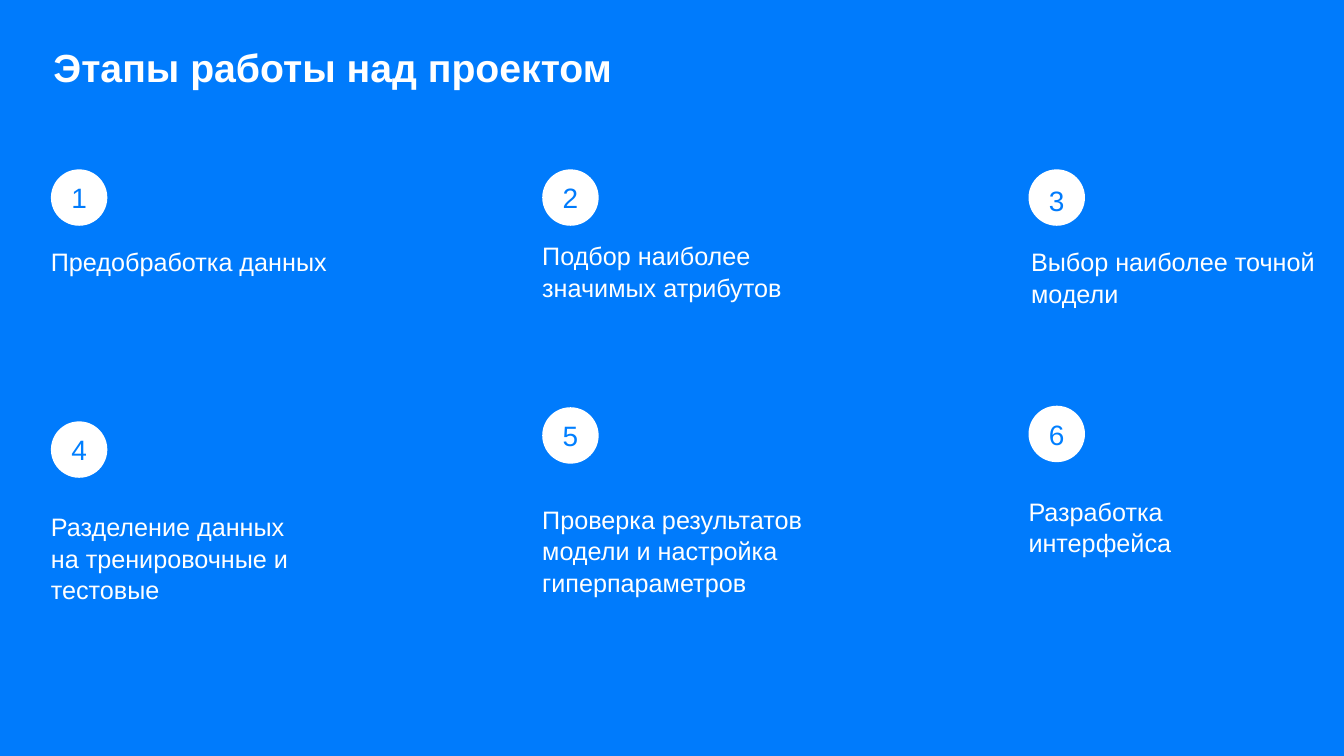
from pptx import Presentation
from pptx.dml.color import RGBColor
from pptx.enum.shapes import MSO_SHAPE as Shape
from pptx.enum.text import MSO_ANCHOR as Anchor, MSO_AUTO_SIZE as AutoSize, PP_ALIGN as Align
from pptx.util import Inches, Pt

BLUE, WHITE, NUMBER_BLUE = "007BFC", "FFFFFF", "007FFF"
COLS = (1.01, 10.76, 20.41)
BADGE = 1.12
LABEL_W, LABEL_H = 0.79, 0.69

# column, badge top, number box top (None: number sits in the badge),
# caption left shift, top, width, height, text
STEPS = [
    (0, 3.36, 3.57, 0, 4.87, 5.86, 0.61, "Предобработка данных"),
    (1, 3.36, 3.56, 0, 4.75, 5.14, 1.82, "Подбор наиболее значимых атрибутов"),
    (2, 3.36, 3.62, 0.05, 4.87, 5.8, 1.82, "Выбор наиболее точной модели"),
    (0, 8.36, None, 0, 10.13, 4.9, 2.42, "Разделение данных на тренировочные и тестовые"),
    (1, 8.08, None, 0, 9.98, 5.47, 2.42, "Проверка результатов модели и настройка гиперпараметров"),
    (2, 8.05, None, 0, 9.82, 4.23, 1.82, "Разработка интерфейса"),
]


def rgb(value):
    return RGBColor.from_string(value)


def write(sp, text, size, color, bold=False, inset=0, centered=False, spacing=None):
    tf = sp.text_frame
    tf.text = text
    tf.word_wrap = True
    tf.margin_left = tf.margin_right = tf.margin_top = tf.margin_bottom = Inches(inset)
    tf.vertical_anchor = Anchor.MIDDLE if centered else Anchor.TOP
    p = tf.paragraphs[0]
    p.alignment = Align.CENTER if centered else Align.LEFT
    p.line_spacing = spacing
    font = p.runs[0].font
    font.name, font.size, font.bold = "Arial", Pt(size), bold
    font.color.rgb = rgb(color)


def add_text(s, box, text, size, color, **style):
    sp = s.shapes.add_textbox(*map(Inches, box))
    write(sp, text, size, color, **style)
    return sp


def add_badge(s, number, left, top, label_top):
    """White circle with its number, either inside it or in a box of its own."""
    sp = s.shapes.add_shape(Shape.OVAL, *map(Inches, (left, top, BADGE, BADGE)))
    sp.shadow.inherit = False
    sp.fill.solid()
    sp.fill.fore_color.rgb = rgb(WHITE)
    sp.line.fill.background()
    if label_top is None:
        write(sp, number, 40, NUMBER_BLUE, centered=True)
    else:
        box = (left + (BADGE - LABEL_W) / 2, label_top, LABEL_W, LABEL_H)
        label = add_text(s, box, number, 40, BLUE, centered=True)
        label.text_frame.auto_size = AutoSize.SHAPE_TO_FIT_TEXT


def add_caption(s, box, text):
    sp = add_text(s, box, text, 36, WHITE, spacing=1.04)
    sp.text_frame.auto_size = AutoSize.SHAPE_TO_FIT_TEXT


def main():
    prs = Presentation()
    prs.slide_width, prs.slide_height = Inches(26.67), Inches(15)
    s = prs.slides.add_slide(prs.slide_layouts[6])
    s.background.fill.solid()
    s.background.fill.fore_color.rgb = rgb(BLUE)

    add_text(s, (1, 0.79, 18.45, 2.5), "Этапы работы над проектом", 56, WHITE,
             bold=True, inset=0.06)
    for number, (col, top, label_top, shift, y, w, h, text) in enumerate(STEPS, 1):
        add_badge(s, str(number), COLS[col], top, label_top)
        add_caption(s, (COLS[col] + shift, y, w, h), text)
    prs.save("out.pptx")


if __name__ == "__main__":
    main()
